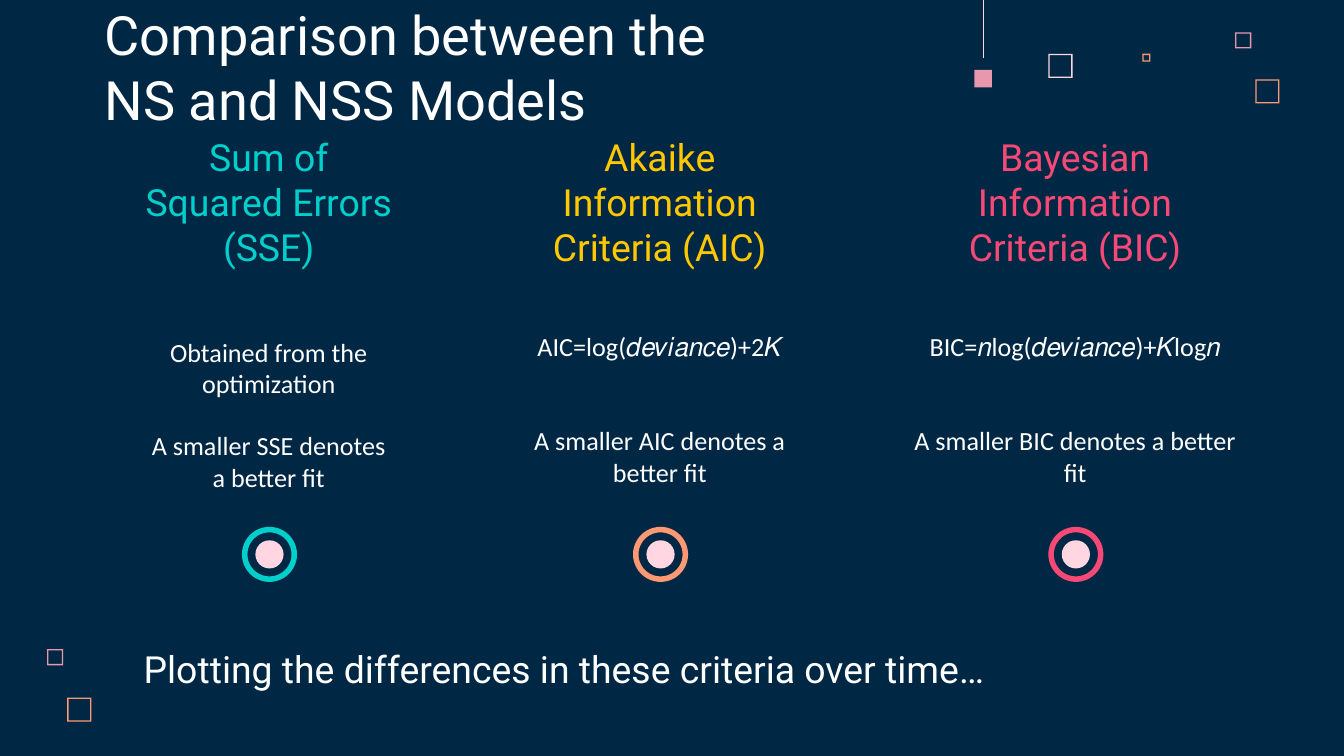
import pptx
import pptx.util
import pptx.dml.color
import pptx.enum.shapes
import pptx.enum.text
from lxml import etree

Inches = pptx.util.Inches
Pt = pptx.util.Pt
RGBColor = pptx.dml.color.RGBColor
Shape = pptx.enum.shapes.MSO_SHAPE
Align = pptx.enum.text.PP_ALIGN
Anchor = pptx.enum.text.MSO_ANCHOR

NAVY = RGBColor(0x00, 0x28, 0x45)
WHITE = RGBColor(0xFF, 0xFF, 0xFF)
BLUSH = RGBColor(0xFF, 0xD6, 0xE1)
ROSE = RGBColor(0xE8, 0x98, 0xAC)
PEACH = RGBColor(0xFF, 0x99, 0x73)
TEAL = RGBColor(0x00, 0xCF, 0xCC)
GOLD = RGBColor(0xFF, 0xC8, 0x00)
PINK = RGBColor(0xF6, 0x49, 0x75)


def add_text(text, box, size=20, font="Roboto", color=WHITE,
             align=Align.LEFT, anchor=Anchor.BOTTOM, gap=0):
    frame = slide.shapes.add_textbox(*[Inches(n) for n in box]).text_frame
    frame.word_wrap = True
    frame.vertical_anchor = anchor
    frame.margin_left = frame.margin_right = Inches(0.1)
    frame.margin_top = frame.margin_bottom = Inches(0.1)
    for i, line in enumerate(text.split("\n")):
        para = frame.paragraphs[0] if i == 0 else frame.add_paragraph()
        para.alignment = align
        para.space_before = Pt(gap if i else 0)
        run = para.add_run()
        run.text = line
        run.font.size = Pt(size)
        run.font.name = font
        run.font.color.rgb = color


def add_shape(kind, left, top, size, color, adjust=None):
    shape = slide.shapes.add_shape(
        kind, Inches(left), Inches(top), Inches(size), Inches(size))
    shape.shadow.inherit = False
    shape.fill.solid()
    shape.fill.fore_color.rgb = color
    shape.line.fill.background()
    if adjust is not None:
        shape.adjustments[0] = adjust


deck = pptx.Presentation()
deck.slide_width = Inches(10)
deck.slide_height = deck.slide_width * 9 // 16
slide = deck.slides.add_slide(deck.slide_layouts[6])
slide.background.fill.solid()
slide.background.fill.fore_color.rgb = NAVY

squares = [
    (7.8, 0.4, 0.18, BLUSH),
    (9.19, 0.24, 0.12, ROSE),
    (8.5, 0.4, 0.06, PEACH),
    (9.34, 0.59, 0.18, PEACH),
    (0.35, 4.83, 0.12, ROSE),
    (0.5, 5.19, 0.18, PEACH),
]
for left, top, size, color in squares:
    add_shape(Shape.FRAME, left, top, size, color, 0.01 / size)

add_shape(Shape.RECTANGLE, 7.25, 0.52, 0.13, ROSE)
stem = slide.shapes.add_connector(
    pptx.enum.shapes.MSO_CONNECTOR.STRAIGHT,
    Inches(7.32), Inches(0), Inches(7.32), Inches(0.43))
stem.line.color.rgb = BLUSH
stem.line.width = Pt(0.5)
etree.SubElement(stem.element.spPr, pptx.oxml.ns.qn("a:effectLst"))

add_text("Comparison between the NS and NSS Models",
         (0.68, 0.45, 5.17, 0.63), size=29)

models = [
    (2, 2.06, 2.06, 2.4, 16.5, TEAL, TEAL, "Sum of Squared Errors (SSE)",
     "Obtained from the optimization\nA smaller SSE denotes a better fit"),
    (4.91, 2.16, 2.16, 2.36, 33.5, GOLD, PEACH,
     "Akaike Information Criteria (AIC)",
     "AIC=log(𝑑𝑒𝑣𝑖𝑎𝑛𝑐𝑒)+2𝐾\nA smaller AIC denotes a better fit"),
    (8, 2.5, 2.61, 2.36, 33.5, PINK, PINK,
     "Bayesian Information Criteria (BIC)",
     "BIC=𝑛log(𝑑𝑒𝑣𝑖𝑎𝑛𝑐𝑒)+𝐾log𝑛\nA smaller BIC denotes a better fit"),
]
for mid, wide, width, top, gap, color, ring, head, body in models:
    add_text(head, (mid - wide / 2, 1.39, wide, 0.71),
             color=color, align=Align.CENTER)
    add_text(body, (mid - width / 2, top, width, 1.22), size=14,
             font="Calibri", align=Align.CENTER, anchor=Anchor.TOP, gap=gap)
    add_shape(Shape.OVAL, mid - 0.1, 4.02, 0.21, BLUSH)
    add_shape(Shape.DONUT, mid - 0.2, 3.92, 0.41, ring, 0.1)

add_text("Plotting the differences in these criteria over time…",
         (0.97, 4.61, 8.32, 0.63))

deck.save("out.pptx")
